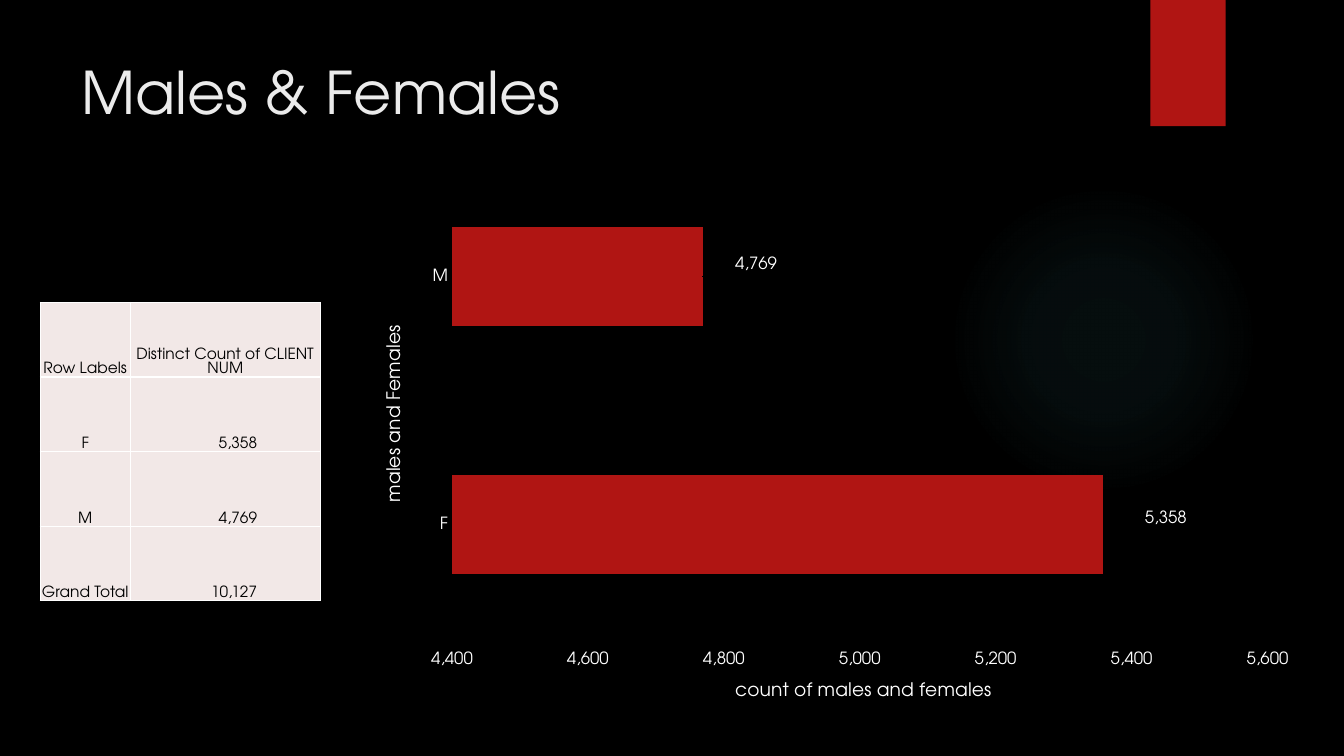
import pptx
import pptx.chart.data
import pptx.dml.color
import pptx.enum.chart
import pptx.enum.shapes
import pptx.enum.text
import pptx.oxml
import pptx.oxml.ns
import pptx.util
from dataclasses import dataclass

Cm, Pt = pptx.util.Cm, pptx.util.Pt
rgb = pptx.dml.color.RGBColor.from_string


@dataclass
class Theme:
    font: str = "TeX Gyre Adventor"
    back: str = "000000"
    accent: str = "B01513"
    glow: str = "50B9C1"
    title: str = "EBEBEB"
    light: str = "FFFFFF"
    dark: str = "000000"
    cell: str = "F2E8E7"
    title_size: float = 42
    axis_title_size: float = 13.3
    chart_size: float = 12
    table_size: float = 11


theme = Theme()


def style(font, size, color):
    font.name, font.size, font.bold = theme.font, Pt(size), False
    font.color.rgb = rgb(color)


def layout(tag, x, y, w=None, h=None):
    """Manual chart layout in fractions of the chart area."""
    mode = '<c:xMode val="edge"/><c:yMode val="edge"/>' if tag != "label" else ""
    target = '<c:layoutTarget val="inner"/>' if tag == "plot" else ""
    size = f'<c:w val="{w}"/><c:h val="{h}"/>' if w else ""
    return pptx.oxml.parse_xml(
        f'<c:layout {pptx.oxml.ns.nsdecls("c")}><c:manualLayout>{target}{mode}'
        f'<c:x val="{x}"/><c:y val="{y}"/>{size}</c:manualLayout></c:layout>')


prs = pptx.Presentation()
prs.slide_width, prs.slide_height = Cm(33.87), Cm(19.05)
slide = prs.slides.add_slide(prs.slide_layouts[6])
slide.background.fill.solid()
slide.background.fill.fore_color.rgb = rgb(theme.back)

# Soft glow behind the chart
kinds = pptx.enum.shapes.MSO_SHAPE
sp = slide.shapes.add_shape(kinds.OVAL, Cm(23.9), Cm(4.65), Cm(7.82), Cm(7.82))
sp.shadow.inherit = False
sp.line.fill.background()
stops = "".join(
    f'<a:gs pos="{pos}000"><a:srgbClr val="{theme.glow}"><a:alpha val="{alpha}000"/>'
    "</a:srgbClr></a:gs>" for pos, alpha in ((0, 7), (36, 6), (69, 0)))
sp.element.spPr.find(pptx.oxml.ns.qn("a:prstGeom")).addnext(pptx.oxml.parse_xml(
    f'<a:gradFill {pptx.oxml.ns.nsdecls("a")}><a:gsLst>{stops}</a:gsLst><a:path path="circle">'
    '<a:fillToRect l="50000" t="50000" r="50000" b="50000"/></a:path></a:gradFill>'))

# Red tab at the top edge
sp = slide.shapes.add_shape(kinds.RECTANGLE, Cm(28.99), 0, Cm(1.9), Cm(3.18))
sp.shadow.inherit = False
sp.fill.solid()
sp.fill.fore_color.rgb = rgb(theme.accent)
sp.line.fill.background()

# Title
tf = slide.shapes.add_textbox(Cm(1.8), Cm(1.27), Cm(26.14), Cm(3.89)).text_frame
tf.word_wrap = True
p = tf.paragraphs[0]
p.text = "Males & Females"
style(p.font, theme.title_size, theme.title)

# Bar chart
data = pptx.chart.data.CategoryChartData(number_format="#,##0")
data.categories = ["F", "M"]
data.add_series("Series 1", [5358, 4769])
chart = slide.shapes.add_chart(
    pptx.enum.chart.XL_CHART_TYPE.BAR_CLUSTERED,
    Cm(9.12), Cm(3.56), Cm(23.9), Cm(14.68), data).chart
chart.has_legend = chart.has_title = False
style(chart.font, theme.chart_size, theme.light)
plot = chart.plots[0]
plot.gap_width = 150
plot.vary_by_categories = False
area = chart.element.chart.plotArea
for old in area.findall(pptx.oxml.ns.qn("c:layout")):
    area.remove(old)
area.insert(0, layout("plot", 0.095, 0.02, 0.86, 0.85))

# Axes and their titles
for axis, text, x, y in (
        (chart.category_axis, "males and Females", 0.02, 0.31),
        (chart.value_axis, "count of males and females", 0.39, 0.92)):
    axis.has_major_gridlines = False
    axis.major_tick_mark = pptx.enum.chart.XL_TICK_MARK.NONE
    axis.format.line.fill.background()
    style(axis.tick_labels.font, theme.chart_size, theme.light)
    p = axis.axis_title.text_frame.paragraphs[0]
    p.text = text
    style(p.font, theme.axis_title_size, theme.light)
    title = axis.axis_title._element
    for old in title.findall(pptx.oxml.ns.qn("c:layout")):
        title.remove(old)
    title.find(pptx.oxml.ns.qn("c:tx")).addnext(layout("title", x, y))
axis = chart.value_axis
axis.minimum_scale, axis.maximum_scale, axis.major_unit = 4400, 5600, 200
axis.tick_labels.number_format = "#,##0"
axis.tick_labels.number_format_is_linked = False

# Bars and shifted value labels
series = plot.series[0]
series.format.fill.solid()
series.format.fill.fore_color.rgb = rgb(theme.accent)
for i, (dx, dy) in enumerate(((0.04, -0.01), (0.03, -0.02))):
    label = series.points[i].data_label
    style(label.font, theme.chart_size, theme.light)
    label.position = pptx.enum.chart.XL_LABEL_POSITION.OUTSIDE_END
for idx, (dx, dy) in zip(series._element.findall(".//" + pptx.oxml.ns.qn("c:dLbl")),
                         ((0.04, -0.01), (0.03, -0.02))):
    idx.find(pptx.oxml.ns.qn("c:idx")).addnext(layout("label", dx, dy))

# Summary table
rows = [("Row Labels", "Distinct Count of CLIENT NUM"),
        ("F", "5,358"), ("M", "4,769"), ("Grand Total", "10,127")]
table = slide.shapes.add_table(4, 2, Cm(1.02), Cm(7.62), Cm(7.06), Cm(7.52)).table
table.first_row = table.horz_banding = False
table.columns[0].width, table.columns[1].width = Cm(2.26), Cm(4.8)
align = pptx.enum.text.PP_ALIGN
for r, row in enumerate(rows):
    table.rows[r].height = Cm(1.88)
    for c, text in enumerate(row):
        number = r > 0 and c == 1
        cell = table.cell(r, c)
        cell.margin_left = cell.margin_top = Cm(0.02)
        cell.margin_right = Cm(1.6 if number else 0.02)
        cell.margin_bottom = 0
        cell.vertical_anchor = pptx.enum.text.MSO_ANCHOR.BOTTOM
        p = cell.text_frame.paragraphs[0]
        p.text = text
        p.alignment = align.RIGHT if number else align.CENTER
        p.line_spacing = Pt(10)
        style(p.font, theme.table_size, theme.dark)
        cell.fill.solid()
        cell.fill.fore_color.rgb = rgb(theme.cell)
        for n, side in enumerate(("lnL", "lnR", "lnT", "lnB")):
            cell._tc.tcPr.insert(n, pptx.oxml.parse_xml(
                f'<a:{side} {pptx.oxml.ns.nsdecls("a")} w="{Pt(1)}"><a:solidFill>'
                f'<a:srgbClr val="{theme.light}"/></a:solidFill></a:{side}>'))

prs.save("out.pptx")
